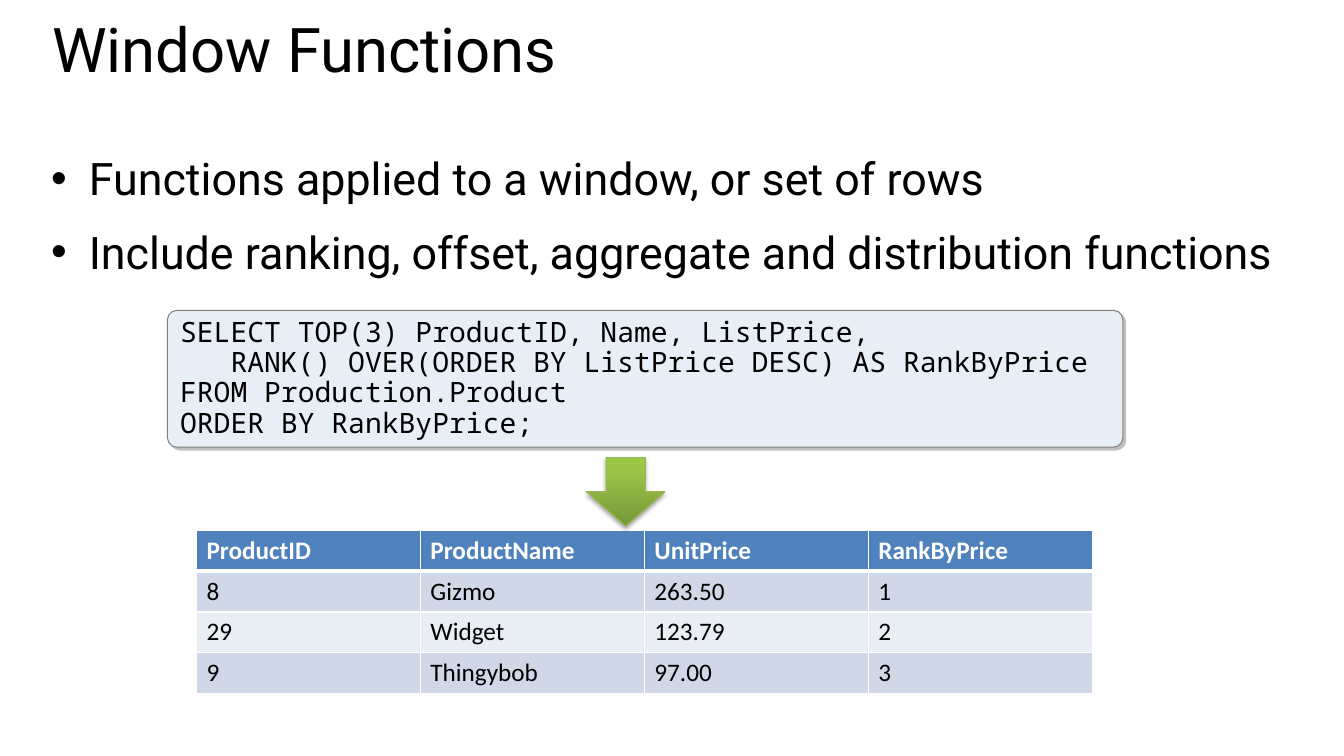
from lxml import etree
from pptx import Presentation
from pptx.dml.color import RGBColor
from pptx.enum.shapes import MSO_SHAPE
from pptx.enum.text import MSO_ANCHOR
from pptx.oxml import parse_xml
from pptx.oxml.ns import qn
from pptx.util import Cm, Pt

ROUND_BOX, DOWN_ARROW = MSO_SHAPE.ROUNDED_RECTANGLE, MSO_SHAPE.DOWN_ARROW
MIDDLE = MSO_ANCHOR.MIDDLE
NAMESPACE = "http://schemas.openxmlformats.org/drawingml/2006/main"
TEXT_FONT, CODE_FONT, TABLE_FONT = "Roboto", "Noto Sans Mono", "Calibri"
BLACK, WHITE = "000000", "FFFFFF"

TITLE = "Window Functions"
POINTS = [
    "Functions applied to a window, or set of rows",
    "Include ranking, offset, aggregate and distribution functions",
]
QUERY = [
    "SELECT TOP(3) ProductID, Name, ListPrice,",
    "\tRANK() OVER(ORDER BY ListPrice DESC) AS RankByPrice",
    "FROM Production.Product",
    "ORDER BY RankByPrice;",
]
RESULT = [
    ["ProductID", "ProductName", "UnitPrice", "RankByPrice"],
    ["8", "Gizmo", "263.50", "1"],
    ["29", "Widget", "123.79", "2"],
    ["9", "Thingybob", "97.00", "3"],
]


def color(value):
    return RGBColor.from_string(value)


def place(box):
    return [Cm(length) for length in box]


def style(para, name, size, value, bold=False):
    font = para.font
    font.name, font.size, font.bold = name, Pt(size), bold
    font.color.rgb = color(value)


def write_lines(frame, lines):
    """Put one line in each paragraph and return the paragraphs."""
    frame.word_wrap = True
    frame.text = "\n".join(lines)
    return frame.paragraphs


def add_shadow(shape, value, alpha, blur, distance, angle):
    shape.shadow.inherit = False
    effects = shape._element.spPr.find(qn("a:effectLst"))
    effects.append(parse_xml(
        f'<a:outerShdw xmlns:a="{NAMESPACE}" blurRad="{Pt(blur)}" dist="{Pt(distance)}" '
        f'dir="{angle * 60000}" algn="ctr" rotWithShape="0"><a:srgbClr val="{value}">'
        f'<a:alpha val="{alpha * 1000}"/></a:srgbClr></a:outerShdw>'))


def set_gradient(shape, stops, angle):
    shape.fill.gradient()
    gradient = shape._element.spPr.find(qn("a:gradFill"))
    stop_list = gradient.find(qn("a:gsLst"))
    stop_list.clear()
    for position, value in stops:
        stop = etree.SubElement(stop_list, qn("a:gs"), pos=str(position * 1000))
        etree.SubElement(stop, qn("a:srgbClr"), val=value)
    gradient.find(qn("a:lin")).set("ang", str(angle * 60000))


def set_border(cell, side, width):
    cell._tc.get_or_add_tcPr().append(parse_xml(
        f'<a:ln{side} xmlns:a="{NAMESPACE}" w="{Pt(width)}"><a:solidFill>'
        f'<a:srgbClr val="{WHITE}"/></a:solidFill></a:ln{side}>'))


def add_title(page, box):
    frame = page.shapes.add_textbox(*place(box)).text_frame
    for para in write_lines(frame, [TITLE]):
        para.line_spacing = 0.8
        style(para, TEXT_FONT, 44, BLACK)


def add_points(page, box):
    frame = page.shapes.add_textbox(*place(box)).text_frame
    for para in write_lines(frame, POINTS):
        para.space_before = Pt(14)
        properties = para._p.get_or_add_pPr()
        properties.set("marL", str(Cm(0.95)))
        properties.set("indent", str(-Cm(0.95)))
        etree.SubElement(properties, qn("a:buFont"), typeface="Arial")
        etree.SubElement(properties, qn("a:buChar"), char="•")
        style(para, TEXT_FONT, 32, BLACK)


def add_query(page, box):
    panel = page.shapes.add_shape(ROUND_BOX, *place(box))
    panel.adjustments[0] = 0.07
    panel.fill.solid()
    panel.fill.fore_color.rgb = color("E8EEF6")
    panel.line.color.rgb = color("808080")
    panel.line.width = Pt(0.75)
    add_shadow(panel, "C0C0C0", 100, 0, 2.8, 45)
    panel.text_frame.vertical_anchor = MIDDLE
    for para in write_lines(panel.text_frame, QUERY):
        para.line_spacing = 0.9
        properties = para._p.get_or_add_pPr()
        properties.set("algn", "l")
        tabs = etree.SubElement(properties, qn("a:tabLst"))
        etree.SubElement(tabs, qn("a:tab"), pos=str(Cm(1.27)), algn="l")
        style(para, CODE_FONT, 20, BLACK)


def add_arrow(page, box):
    arrow = page.shapes.add_shape(DOWN_ARROW, *place(box))
    set_gradient(arrow, [(0, "779737"), (80, "9BC348"), (100, "9DC746")], 270)
    arrow.line.color.rgb = color("98B955")
    arrow.line.width = Pt(0.75)
    add_shadow(arrow, BLACK, 35, 3.1, 1.8, 90)


def add_result(page, box):
    table = page.shapes.add_table(len(RESULT), len(RESULT[0]), *place(box)).table
    for row, values in enumerate(RESULT):
        header = row == 0
        fill = "4F81BD" if header else ("E9EDF4", "D0D8E8")[row % 2]
        # The rule under the header is thicker than the others
        widths = {"L": 1, "R": 1, "T": 3 if row == 1 else 1, "B": 3 if header else 1}
        for column, value in enumerate(values):
            cell = table.cell(row, column)
            for side, width in widths.items():
                set_border(cell, side, width)
            cell.fill.solid()
            cell.fill.fore_color.rgb = color(fill)
            cell.text = value
            style(cell.text_frame.paragraphs[0], TABLE_FONT, 18,
                  WHITE if header else BLACK, header)


deck = Presentation()
deck.slide_width, deck.slide_height = Cm(33.87), Cm(19.05)
page = deck.slides.add_slide(deck.slide_layouts[6])

# Heading and bullet points
add_title(page, (1.07, 0.51, 32, 2.95))
add_points(page, (1.04, 3.68, 32, 14.71))

# Query, arrow and its result
add_query(page, (4.22, 7.82, 24.08, 3.45))
add_result(page, (4.95, 13.36, 22.58, 4.12))
add_arrow(page, (14.78, 11.53, 1.98, 1.73))

deck.save("out.pptx")
